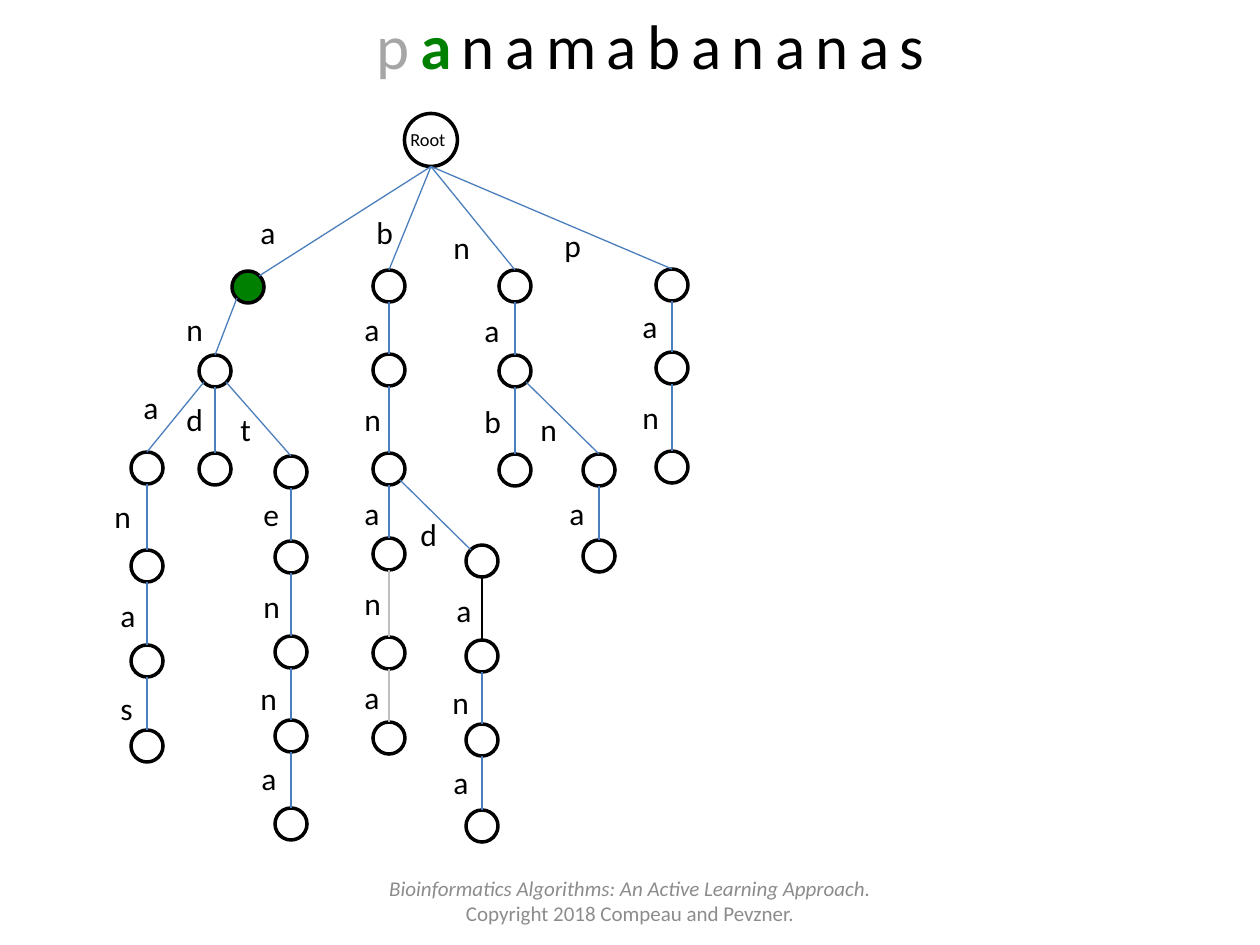
from dataclasses import dataclass

import pptx
import pptx.dml.color
import pptx.enum.shapes
import pptx.enum.text
import pptx.oxml
import pptx.oxml.ns
import pptx.util

EMU_PER_PX = 914400 / 126
NODE_SIZE = 32
DIAGONAL = 11
LABEL_HEIGHT = 50
LABEL_WIDTHS = {"t": 36, "s": 38, "a": 40, "e": 41}
WIDEST_LABEL = 43


@dataclass(frozen=True)
class Theme:
    font: str = "Calibri"
    black: str = "000000"
    white: str = "FFFFFF"
    current: str = "008000"
    passed: str = "A6A6A6"
    footer: str = "8C8C8C"
    edge: str = "4B7EBC"
    faint_edge: str = "BFBFBF"
    title_size: float = 36
    label_size: float = 18
    footer_size: float = 12
    root_size: float = 10.5


THEME = Theme()


@dataclass(frozen=True)
class Node:
    prefix: str
    x: int
    y: int
    label_left: int = 0
    label_top: int = 0
    fill: str = THEME.white
    edge: str = THEME.edge
    entry_side: int = 0
    size: int = NODE_SIZE


TRIE = [
    Node("", 431, 140, size=53),
    Node("a", 248, 287, 248, 207, fill=THEME.current, entry_side=1),
    Node("an", 215, 371, 174, 304),
    Node("and", 215, 469, 174, 394),
    Node("ana", 147, 468, 131, 382),
    Node("anan", 147, 566, 102, 491),
    Node("anana", 147, 661, 108, 590),
    Node("ananas", 147, 746, 108, 683),
    Node("ant", 291, 472, 228, 404),
    Node("ante", 291, 557, 251, 489),
    Node("anten", 291, 652, 251, 581),
    Node("antenn", 291, 736, 248, 673),
    Node("antenna", 291, 824, 249, 753),
    Node("b", 389, 286, 364, 207),
    Node("ba", 389, 370, 352, 304),
    Node("ban", 389, 469, 352, 394),
    Node("bana", 389, 554, 352, 488),
    Node("banan", 389, 653, 352, 578, edge=THEME.faint_edge),
    Node("banana", 389, 738, 352, 672, edge=THEME.faint_edge),
    Node("band", 482, 561, 408, 509, entry_side=-1),
    Node("banda", 482, 656, 444, 585, edge=THEME.black),
    Node("bandan", 482, 740, 440, 677),
    Node("bandana", 482, 826, 441, 757),
    Node("n", 515, 286, 441, 222),
    Node("na", 515, 371, 472, 305),
    Node("nab", 515, 470, 472, 396),
    Node("nan", 599, 470, 528, 404),
    Node("nana", 599, 556, 557, 488),
    Node("p", 672, 285, 552, 220),
    Node("pa", 672, 368, 630, 301),
    Node("pan", 672, 467, 630, 392),
]


def px(length: float) -> pptx.util.Emu:
    return pptx.util.Emu(round(length * EMU_PER_PX))


def rgb(color: str) -> pptx.dml.color.RGBColor:
    return pptx.dml.color.RGBColor.from_string(color)


def style(span, size: float, color: str, bold: bool = False, italic: bool = False) -> None:
    span.font.name = THEME.font
    span.font.size = pptx.util.Pt(size)
    span.font.color.rgb = rgb(color)
    span.font.bold = bold
    span.font.italic = italic


def add_text(shapes, text: str, left: int, top: int, width: int, height: int,
             size: float, color: str = THEME.black, wrap: bool = True):
    box = shapes.add_textbox(px(left), px(top), px(width), px(height))
    box.text_frame.text = text
    box.text_frame.word_wrap = wrap
    for para in box.text_frame.paragraphs:
        for span in para.runs:
            style(span, size, color)
    return box


def add_node(shapes, node: Node):
    circle = shapes.add_shape(
        pptx.enum.shapes.MSO_SHAPE.OVAL,
        px(node.x - node.size / 2), px(node.y - node.size / 2),
        px(node.size), px(node.size))
    circle.shadow.inherit = False
    circle.fill.solid()
    circle.fill.fore_color.rgb = rgb(node.fill)
    circle.line.color.rgb = rgb(THEME.black)
    circle.line.width = pptx.util.Pt(2)
    return circle


def add_edge(shapes, parent: Node, child: Node, child_circle) -> None:
    start_x, start_y = parent.x, parent.y + parent.size / 2
    if parent.prefix and child.x != parent.x:
        start_x += DIAGONAL if child.x > parent.x else -DIAGONAL
        start_y = parent.y + DIAGONAL
    end_x = child.x + child.entry_side * DIAGONAL
    end_y = child.y - (DIAGONAL if child.entry_side else child.size / 2)
    edge = shapes.add_connector(
        pptx.enum.shapes.MSO_CONNECTOR.STRAIGHT,
        px(start_x), px(start_y), px(end_x), px(end_y))
    if not child.entry_side:
        edge.end_connect(child_circle, 0)
    edge.line.color.rgb = rgb(child.edge)
    edge.line.width = pptx.util.Pt(0.75)
    properties = edge._element.spPr
    properties.append(pptx.oxml.parse_xml(
        f'<a:effectLst {pptx.oxml.ns.nsdecls("a")}/>'))


def add_label(shapes, node: Node) -> None:
    letter = node.prefix[-1]
    add_text(shapes, letter, node.label_left, node.label_top,
             LABEL_WIDTHS.get(letter, WIDEST_LABEL), LABEL_HEIGHT,
             THEME.label_size, wrap=False)


def draw_trie(page) -> None:
    shapes = page.shapes.add_group_shape().shapes
    nodes = {node.prefix: node for node in TRIE}
    circles = {node.prefix: add_node(shapes, node) for node in TRIE}
    add_text(shapes, "Root", 398, 122, 69, 35, THEME.root_size)
    for node in TRIE[1:]:
        add_edge(shapes, nodes[node.prefix[:-1]], node, circles[node.prefix])
        add_label(shapes, node)


def draw_title(page) -> None:
    title = page.shapes.title
    title.left, title.top, title.width, title.height = px(336), px(0), px(630), px(89)
    frame = title.text_frame
    frame.word_wrap = True
    frame.auto_size = pptx.enum.text.MSO_AUTO_SIZE.SHAPE_TO_FIT_TEXT
    frame.vertical_anchor = pptx.enum.text.MSO_ANCHOR.TOP
    para = frame.paragraphs[0]
    para.alignment = pptx.enum.text.PP_ALIGN.CENTER
    parts = [("p", THEME.passed), ("a", THEME.current), ("namabananas", THEME.black)]
    for text, color in parts:
        span = para.add_run()
        span.text = text
        style(span, THEME.title_size, color, bold=color == THEME.current)
        span.font._element.set("spc", "600")


def draw_footer(page) -> None:
    box = add_text(
        page.shapes,
        "Bioinformatics Algorithms: An Active Learning Approach.\n"
        "Copyright 2018 Compeau and Pevzner.",
        357, 876, 546, 50, THEME.footer_size, THEME.footer)
    box.text_frame.vertical_anchor = pptx.enum.text.MSO_ANCHOR.MIDDLE
    for para in box.text_frame.paragraphs:
        para.alignment = pptx.enum.text.PP_ALIGN.CENTER
    box.text_frame.paragraphs[0].runs[0].font.italic = True


def main() -> None:
    deck = pptx.Presentation()
    deck.slide_width, deck.slide_height = px(1260), px(945)
    page = deck.slides.add_slide(deck.slide_layouts.get_by_name("Title Only"))
    draw_trie(page)
    draw_title(page)
    draw_footer(page)
    deck.save("out.pptx")


if __name__ == "__main__":
    main()
